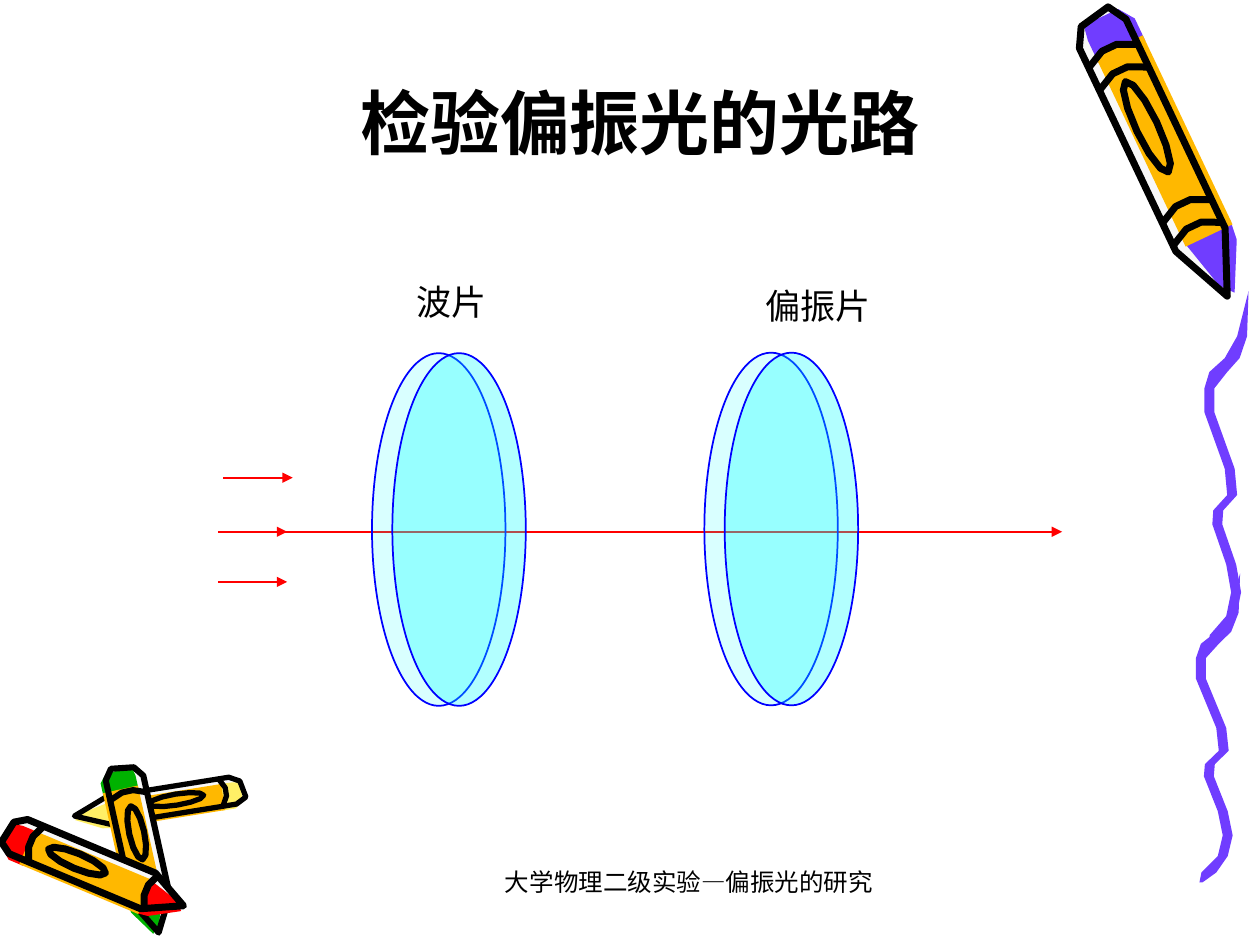
from math import cos, hypot, pi, sin

from lxml import etree
from pptx import Presentation
from pptx.dml.color import RGBColor
from pptx.enum.shapes import MSO_CONNECTOR, MSO_SHAPE
from pptx.enum.text import MSO_ANCHOR, MSO_AUTO_SIZE, PP_ALIGN
from pptx.oxml.ns import qn
from pptx.util import Cm, Pt

LINE = MSO_CONNECTOR.STRAIGHT
OVAL = MSO_SHAPE.OVAL
MID = PP_ALIGN.CENTER
TOP, LOW = MSO_ANCHOR.TOP, MSO_ANCHOR.BOTTOM
FIXED = MSO_AUTO_SIZE.NONE

THEME = {
    "ink": RGBColor(0, 0, 0),
    "paper": RGBColor(0xF8, 0xF8, 0xF8),
    "violet": RGBColor(0x70, 0x3D, 0xFF),
    "amber": RGBColor(0xFF, 0xB8, 0x00),
    "cream": RGBColor(0xFF, 0xEF, 0x66),
    "red": RGBColor(0xFF, 0, 0),
    "green": RGBColor(0, 0xB2, 0),
    "glass": RGBColor(0, 0xFF, 0xFF),
    "rim": RGBColor(0, 0, 0xFF),
    "title": {"size": Pt(40), "name": "Comic Neue", "bold": True},
    "label": {"size": Pt(20), "name": "Arial", "bold": False},
    "foot": {"size": Pt(14), "name": "Comic Neue", "bold": False},
}


def draw(dots, tint=None, pen=0, close=True):
    """Draw an outline through points in cm: filled with tint, or inked pen points wide."""
    dots = [(Cm(x), Cm(y)) for x, y in dots]
    path = shapes.build_freeform(*dots[0])
    path.add_line_segments(dots[1:], close=close)
    part = path.convert_to_shape()
    part.shadow.inherit = False
    if tint:
        part.fill.solid()
        part.fill.fore_color.rgb = THEME[tint]
    else:
        part.fill.background()
    if pen:
        part.line.color.rgb = THEME["ink"]
        part.line.width = Pt(pen)
    else:
        part.line.fill.background()


def write(box, text, place, style, anchor):
    """Place a text shape (cm) and fill it with one centred line."""
    for name, val in zip(("left", "top", "width", "height"), place):
        setattr(box, name, Cm(val))
    frame = box.text_frame
    frame.text = text
    look = {"word_wrap": True, "auto_size": FIXED, "vertical_anchor": anchor}
    for name, val in look.items():
        setattr(frame, name, val)
    para = frame.paragraphs[0]
    para.alignment = MID
    font = para.runs[0].font
    for name, val in THEME[style].items():
        setattr(font, name, val)
    font.color.rgb = THEME["ink"]


deck = Presentation()
deck.slide_width, deck.slide_height = Cm(25.4), Cm(19.05)
slide = deck.slides.add_slide(deck.slide_layouts[5])
shapes = slide.shapes

# Every crayon has the same parts. A part's points are (along, across):
# along runs from 0 at the tail to 1 at the tip, across from -1 to 1 between
# the sides. Colours reach past side 1 and stop short of side -1, like a
# misprint, so a strip of paper shows there.
CASE = [(0.02, -0.6), (0, 0.6), (0.06, 1), (0.8, 1), (1, 0), (0.8, -1), (0.08, -1)]
CAP = [(0.02, -0.5), (0.02, 0.9), (0.07, 1.3), (0.15, 1.3), (0.15, -0.6), (0.07, -0.6)]
BARREL = [(0.13, -0.6), (0.13, 1.3), (0.8, 1.3), (0.8, -0.6)]
TIP = [(0.78, -0.6), (0.78, 1.3), (0.85, 1.2), (1, 0.3), (0.96, -0.1)]
TURN = [2 * pi * step / 12 for step in range(12)]
BADGE = [(0.4 + 0.16 * cos(a), 0.4 * sin(a)) for a in TURN]

# Colour, tail and tip (cm), half width (cm; its sign picks the misprinted
# side), pen (pt) and the places of the bands along the barrel
CRAYONS = (
    ("cream", (4.93, 15.9), (1.5, 16.45), -0.28, 3, (0.12, 0.73)),
    ("green", (2.46, 15.45), (3.2, 18.8), 0.38, 3.5, (0.16,)),
    ("red", (0.12, 16.76), (3.7, 18.26), 0.39, 4, (0.15, 0.8)),
    ("violet", (22.04, 0.28), (24.74, 5.97), -0.55, 4, (0.13, 0.21, 0.68, 0.76)),
)
for tint, tail, tip, half, pen, bands in CRAYONS:
    run, fall = tip[0] - tail[0], tip[1] - tail[1]
    size = hypot(run, fall)
    side = (-fall / size * half, run / size * half)
    jobs = [
        (CASE, "paper", 0, True),
        (CAP, tint, 0, True),
        (TIP, tint, 0, True),
        (BARREL, "amber", 0, True),
        (CASE, None, pen, True),
        (BADGE, None, pen, True),
    ]
    for at in bands:
        bend = [(at + 0.02, -1), (at - 0.01, -0.3), (at - 0.01, 0.3), (at + 0.02, 1)]
        jobs.append((bend, None, pen, False))
    for part, fill, ink, close in jobs:
        dots = [(tail[0] + run * u + side[0] * v, tail[1] + fall * u + side[1] * v)
                for u, v in part]
        draw(dots, fill, ink, close)

# The violet stroke is one ribbon, drawn twice: (x, y, half width) in cm down its spine
SPINE = (
    (0.9, 0, 0), (0.77, 0.91, 0.1), (0.57, 1.35, 0.15), (0.29, 1.63, 0.18),
    (0.11, 1.96, 0.1), (0.11, 2.44, 0.1), (0.52, 3.58, 0.1), (0.57, 4.11, 0.1),
    (0.29, 4.42, 0.1), (0.27, 4.7, 0.1), (0.55, 5.51, 0.1), (0.65, 6.07, 0.1),
    (0.55, 6.55, 0.1), (0.27, 6.93, 0.15), (0.11, 7.16, 0.03),
)
for left, top, tall in ((24.1, 11.56, 0.87), (24.27, 5.87, 1)):
    near = [(left + x - half, top + y * tall) for x, y, half in SPINE]
    far = [(left + x + half, top + y * tall) for x, y, half in SPINE]
    draw(near + far[::-1], "violet")

write(shapes.title, "检验偏振光的光路", (1.04, 1.73, 23.72, 1.7), "title", LOW)

# The main ray, then three incoming rays: start, height and length
for left, y, size in ((5, 10.72, 16.41), (4.5, 9.63, 1.4), (4.39, 10.72, 1.4), (4.39, 11.73, 1.4)):
    ray = shapes.add_connector(LINE, Cm(left), Cm(y), Cm(left + size), Cm(y))
    ray.line.color.rgb = THEME["red"]
    ray.line.width = Pt(1)
    etree.SubElement(ray.line._get_or_add_ln(), qn("a:tailEnd"), type="triangle")
    etree.SubElement(ray._element.spPr, qn("a:effectLst"))

# Two plates, each a pair of faces
for left, top in ((7.5, 7.12), (14.2, 7.11)):
    for shift, alpha in ((0, 15), (0.41, 30)):
        face = shapes.add_shape(OVAL, Cm(left + shift), Cm(top), Cm(2.69), Cm(7.11))
        face.shadow.inherit = False
        face.fill.solid()
        face.fill.fore_color.rgb = THEME["glass"]
        clr = face._element.spPr.find(qn("a:solidFill"))[0]
        etree.SubElement(clr, qn("a:alpha"), val=str(alpha * 1000))
        face.line.color.rgb = THEME["rim"]
        face.line.width = Pt(1)

for text, place, style in (
    ("偏振片", (14.9, 5.62, 3.2, 1.12), "label"),
    ("波片", (7.5, 5.54, 3.2, 1.12), "label"),
    ("大学物理二级实验—偏振光的研究", (9.87, 17.35, 8.05, 1.27), "foot"),
):
    write(shapes.add_textbox(0, 0, 0, 0), text, place, style, TOP)

deck.save("out.pptx")
